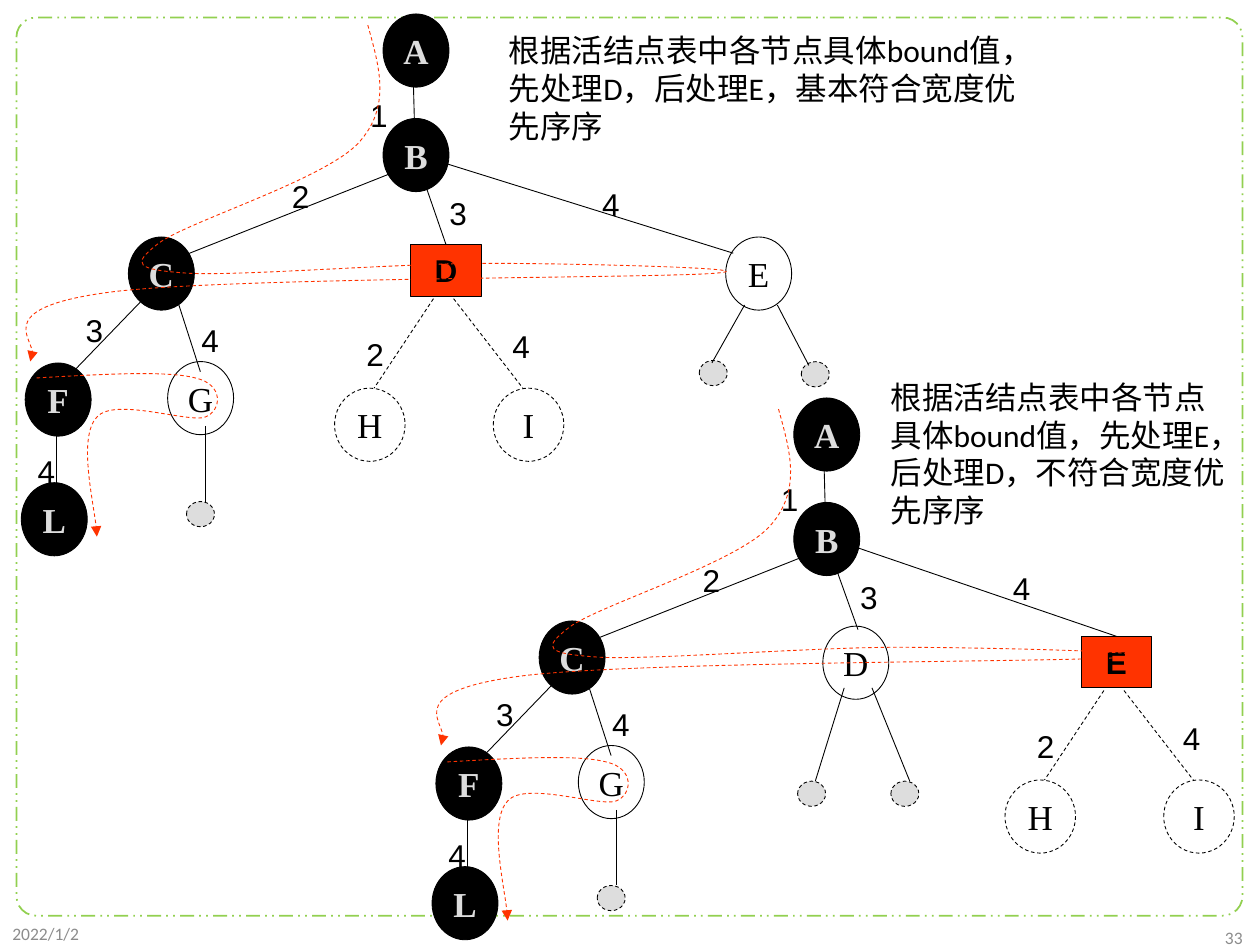
import dataclasses
import pptx
import pptx.dml.color
import pptx.enum.dml
import pptx.enum.shapes
import pptx.enum.text
import pptx.oxml.ns
import pptx.util
from lxml import etree

Pt = pptx.util.Pt
qn = pptx.oxml.ns.qn
SHAPE = pptx.enum.shapes.MSO_SHAPE
DASH = pptx.enum.dml.MSO_LINE
ALIGN = pptx.enum.text.PP_ALIGN
ANCHOR = pptx.enum.text.MSO_ANCHOR

@dataclasses.dataclass(frozen=True)
class Theme:
    """Colours, type styles (font, size, colour, bold) and node sizes."""
    black: str = "000000"
    pale: str = "DDDDDD"
    red: str = "FF3300"
    green: str = "92D050"
    visited: tuple = ("Times New Roman", 20, "DDDDDD", True)
    open: tuple = ("Times New Roman", 20, "000000", False)
    current: tuple = ("Arial", 18, "000000", True)
    cost: tuple = ("Arial", 18, "000000", False)
    caption: tuple = ("Calibri", 18, "000000", False)
    footer: tuple = ("Calibri", 10, "8C8C8C", False)
    node: tuple = (37.7, 41.8)
    wide: tuple = (40.3, 41.8)
    box: tuple = (40.3, 29.5)
    leaf: tuple = (16, 14.4)

T = Theme()
NODES = [("A", 206.9, 0), ("B", 206.9, 59.7), ("C", 61.4, 127.4),
         ("F", 2.4, 199.4), ("L", 0.2, 267.8)]
EDGES = [(224.2, 38.1, 224.9, 64.7), (212.6, 90.6, 94.6, 137.4),
         (70.8, 161.9, 29.8, 204.4), (20.4, 234.6, 20.4, 285),
         (88.8, 161.9, 102.5, 204.4)]
COSTS = [("1", 192.5, 43.1), ("2", 147.8, 89.9), ("3", 29.8, 166.2),
         ("4", 2.4, 246.9), ("4", 325, 94.2), ("4", 96, 172), ("3", 237.8, 99.3)]
D_EDGE, E_EDGE = (229.9, 94.2), (243.6, 85.7)
ROUTES = [
    [(8.9, 208), (46.3, 205.8), (83.8, 203.7), (99.6, 208), (116.2, 211.6),
     (114.7, 226.7), (105.4, 230.3), (96, 233.9), (53.5, 218.8), (43.4, 230.3),
     (32.6, 241.8), (43.4, 287.2), (43.4, 298.7)],
    [(198.2, 6.4), (204.7, 30.2), (211.9, 53.2), (192.5, 74.1), (172.3, 95),
     (95.3, 118.7), (78.7, 131), (62.9, 143.2), (65, 146.1), (96, 148.2),
     (127, 149.7), (216.2, 142.5), (265.9, 142.5), (316.3, 142.5), (432.2, 145.4),
     (396.2, 148.2), (360.2, 151.1), (116.2, 150.4), (50.6, 159), (-14.9, 167.7),
     (12.5, 192.2), (5.3, 198.6)]]

def rgb(color):
    """Turn a hex string into a colour."""
    return pptx.dml.color.RGBColor.from_string(color)

def write(tf, paragraphs, style, align=None):
    """Fill a text frame with paragraphs in one type style."""
    name, size, color, bold = style
    for i, text in enumerate(paragraphs):
        p = tf.paragraphs[0] if i == 0 else tf.add_paragraph()
        p.alignment = align
        r = p.add_run()
        r.text = text
        for key, value in {"name": name, "size": Pt(size), "bold": bold}.items():
            setattr(r.font, key, value)
        r.font.color.rgb = rgb(color)

def text_box(s, box, paragraphs, style, wrap=True, align=None, anchor=ANCHOR.TOP):
    """Add a text box."""
    tf = s.shapes.add_textbox(*map(Pt, box)).text_frame
    tf.word_wrap, tf.vertical_anchor = wrap, anchor
    write(tf, paragraphs, style, align)

def stroke(line, color=T.black, width=0.5, dash=None):
    """Set colour, width and dash of a line."""
    line.color.rgb, line.width = rgb(color), Pt(width)
    if dash:
        line.dash_style = dash

def shape(s, kind, box, fill=None, text=None, style=None, **line):
    """Add a preset shape with an optional centred label."""
    sp = s.shapes.add_shape(kind, *map(Pt, box))
    sp.shadow.inherit = False
    if fill:
        sp.fill.solid()
        sp.fill.fore_color.rgb = rgb(fill)
    else:
        sp.fill.background()
    stroke(sp.line, **line)
    if text:
        tf = sp.text_frame
        for side in ("left", "right", "top", "bottom"):
            setattr(tf, f"margin_{side}", 0)
        tf.vertical_anchor = ANCHOR.MIDDLE
        write(tf, [text], style, ALIGN.CENTER)
    return sp

def edge(s, x, y, ends, dash=None):
    """Add a straight edge given relative to a point."""
    x1, y1, x2, y2 = ends
    cx = s.shapes.add_connector(pptx.enum.shapes.MSO_CONNECTOR.STRAIGHT,
                                Pt(x + x1), Pt(y + y1), Pt(x + x2), Pt(y + y2))
    stroke(cx.line, dash=dash)
    etree.SubElement(cx._element.spPr, qn("a:effectLst"))
    return cx

def cost(s, x, y, text):
    """Add the cost label of an edge."""
    text_box(s, (x, y, 24.5, 28.8), [text], T.cost, wrap=False)

def route(s, x, y, points):
    """Add a dashed curve with an arrowhead through Bezier points."""
    pts = [(Pt(x + px), Pt(y + py)) for px, py in points]
    fb = s.shapes.build_freeform(*pts[0])
    fb.add_line_segments(pts[1:], close=False)
    sp = fb.convert_to_shape()
    sp.shadow.inherit = False
    sp.fill.background()
    stroke(sp.line, T.red, dash=DASH.DASH)
    etree.SubElement(sp._element.spPr.find(qn("a:ln")), qn("a:tailEnd"), type="triangle")
    outline = next(sp._element.iter(qn("a:path")))
    segments = outline.findall(qn("a:lnTo"))
    for i in range(0, len(segments), 3):
        curve = etree.SubElement(outline, qn("a:cubicBezTo"))
        for segment in segments[i:i + 3]:
            curve.append(segment[0])
            outline.remove(segment)

def current_node(s, x, y, name, parent):
    """Add the red node at a point, its parent edge and its dashed children."""
    sp = shape(s, SHAPE.RECTANGLE, (x, y, *T.box), T.red, name, T.current)
    edge(s, 0, 0, (*parent, x + T.box[0] / 2, y)).end_connect(sp, 0)
    for child, dx in (("H", -43.5), ("I", 47.2)):
        shape(s, SHAPE.OVAL, (x + dx, y + 82.1, *T.wide), None, child, T.open,
              dash=DASH.DASH)
    for ends in ((13, 31, -20.9, 82.1), (24.5, 31, 64.1, 82.1)):
        edge(s, x, y, ends, DASH.DASH)
    cost(s, x - 32.4, y + 48.2, "2")
    cost(s, x + 51.1, y + 43.9, "4")

def open_node(s, x, y, name, leaves, edges):
    """Add an unfilled node at a point with its leaves below."""
    shape(s, SHAPE.OVAL, (x, y, *T.node), None, name, T.open)
    for dx, dy in leaves:
        shape(s, SHAPE.OVAL, (x + dx, y + dy, *T.leaf), T.pale, dash=DASH.DASH)
    for ends in edges:
        edge(s, x, y, ends)

def tree(s, x, y, current, pending, pending_edge):
    """Add one search tree whose top left corner is at a point."""
    for name, dx, dy in NODES:
        shape(s, SHAPE.OVAL, (x + dx, y + dy, *T.node), T.black, name, T.visited)
    for ends in EDGES + [pending_edge]:
        edge(s, x, y, ends)
    open_node(s, x + 83.8, y + 198.6, "G", [(10.8, 80)], [(21.6, 36.8, 21.6, 80)])
    name, dx, dy, leaves, edges = pending
    open_node(s, x + dx, y + dy, name, leaves, edges)
    name, dx, dy, (px, py) = current
    current_node(s, x + dx, y + dy, name, (x + px, y + py))
    for text, dx, dy in COSTS:
        cost(s, x + dx, y + dy, text)
    for points in ROUTES:
        route(s, x, y, points)

def frame(s, x, y, w, h):
    """Add the dashed border, and the date and page number below it."""
    sp = shape(s, SHAPE.ROUNDED_RECTANGLE, (x, y, w, h), color=T.green, width=1,
               dash=DASH.DASH_DOT_DOT)
    sp.adjustments[0] = 0.022
    for box, text, align in (((0, y + h - 0.5, 162, 20.9), "2022/1/2", ALIGN.LEFT),
                             ((555.1, y + h + 2.9, 162, 18.7), "33", ALIGN.RIGHT)):
        text_box(s, box, [text], T.footer, align=align, anchor=ANCHOR.MIDDLE)

def main():
    """Build the slide and save it."""
    prs = pptx.Presentation()
    prs.slide_width, prs.slide_height = Pt(720), Pt(540)
    s = prs.slides.add_slide(prs.slide_layouts[6])
    frame(s, 9.4, 10, 700.6, 513.3)
    tree(s, 246.7, 227.4, ("E", 371.1, 136.2, E_EDGE),
         ("D", 223.5, 130.4, [(-14.4, 88.6), (38.9, 88.6)],
          [(12.2, 35.3, -4.3, 88.6), (28.1, 35.3, 49.7, 88.6)]), (*D_EDGE, 243.6, 132.4))
    text_box(s, (283.7, 14.4, 319, 72.7),
             ["根据活结点表中各节点具体bound值，先处理D，后处理E，基本符合宽度优先序序"], T.caption)
    tree(s, 12, 8, ("D", 222.7, 131.7, D_EDGE),
         ("E", 402.7, 127.4, [(-15.1, 70.6), (43.2, 71.3)],
          [(10.8, 38.9, -7.9, 72), (29.5, 38.9, 47.5, 73.4)]), (*E_EDGE, 407, 136.7))
    text_box(s, (501.8, 212.4, 215.3, 93.6),
             ["根据活结点表中各节点", "具体bound值，先处理E，后处理D，不符合宽度优先序序"], T.caption)
    prs.save("out.pptx")

if __name__ == "__main__":
    main()
